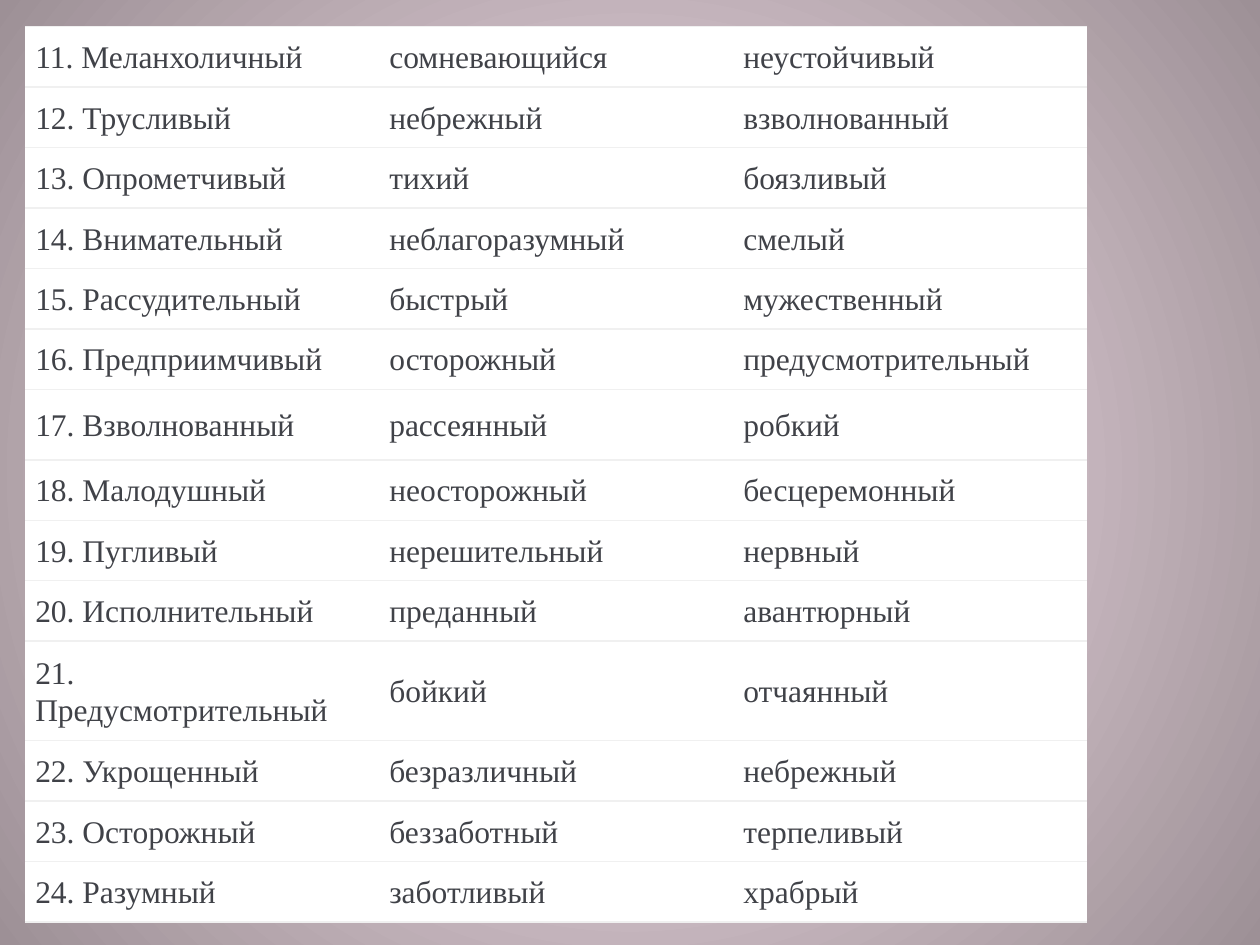
from lxml.etree import SubElement
from pptx import Presentation
from pptx.dml.color import RGBColor
from pptx.enum.text import MSO_ANCHOR
from pptx.oxml import parse_xml
from pptx.oxml.ns import nsdecls, qn
from pptx.util import Inches, Pt

FONT = "Times New Roman"
TEXT, PAPER, RULE = "404248", "FFFFFF", "F0F0F0"
CENTRE, EDGE = "FCE7F1", "9D9096"
ROW_HEIGHT = 0.48
TALL_ROWS = {6: 0.56, 10: 0.79}
FIRST_NUMBER = 11
TRAITS = [
    ("Меланхоличный", "сомневающийся", "неустойчивый"),
    ("Трусливый", "небрежный", "взволнованный"),
    ("Опрометчивый", "тихий", "боязливый"),
    ("Внимательный", "неблагоразумный", "смелый"),
    ("Рассудительный", "быстрый", "мужественный"),
    ("Предприимчивый", "осторожный", "предусмотрительный"),
    ("Взволнованный", "рассеянный", "робкий"),
    ("Малодушный", "неосторожный", "бесцеремонный"),
    ("Пугливый", "нерешительный", "нервный"),
    ("Исполнительный", "преданный", "авантюрный"),
    ("Предусмотрительный", "бойкий", "отчаянный"),
    ("Укрощенный", "безразличный", "небрежный"),
    ("Осторожный", "беззаботный", "терпеливый"),
    ("Разумный", "заботливый", "храбрый"),
]


def color(value):
    """Turn a hex string into a colour."""
    return RGBColor.from_string(value)


def paint_background(slide):
    """Fill the slide with a circular gradient spreading from its centre."""
    fill = slide.background.fill
    fill.gradient()
    for stop, value, position in zip(fill.gradient_stops, (CENTRE, EDGE), (0, 1)):
        stop.color.rgb = color(value)
        stop.position = position
    gradient = slide.element.find(".//" + qn("a:gradFill"))
    gradient.replace(gradient.find(qn("a:lin")), parse_xml(
        f'<a:path {nsdecls("a")} path="circle">'
        '<a:fillToRect l="50000" t="50000" r="50000" b="50000"/></a:path>'))


def rule_cell(cell):
    """Draw thin rules above and below a cell and none at its sides."""
    properties = cell._tc.get_or_add_tcPr()
    for side in ("L", "R", "T", "B"):
        line = SubElement(properties, qn(f"a:ln{side}"), w=str(Pt(1)))
        if side in "LR":
            SubElement(line, qn("a:noFill"))
        else:
            solid = SubElement(line, qn("a:solidFill"))
            SubElement(solid, qn("a:srgbClr"), val=RULE)


def write_cell(cell, text):
    """Format one cell and write its word."""
    rule_cell(cell)
    cell.fill.solid()
    cell.fill.fore_color.rgb = color(PAPER)
    cell.vertical_anchor = MSO_ANCHOR.MIDDLE
    cell.margin_left = cell.margin_right = Inches(0.08)
    cell.margin_top = cell.margin_bottom = Inches(0.08)
    paragraph = cell.text_frame.paragraphs[0]
    paragraph.line_spacing = 1.07
    paragraph.space_after = Pt(15)
    run = paragraph.add_run()
    run.text = text
    run.font.name = FONT
    run.font.size = Pt(18)
    run.font.color.rgb = color(TEXT)


def add_trait_table(slide, left, top, width):
    """Place the numbered table of character traits."""
    heights = [Inches(TALL_ROWS.get(index, ROW_HEIGHT)) for index in range(len(TRAITS))]
    table = slide.shapes.add_table(
        len(TRAITS), len(TRAITS[0]), left, top, width, sum(heights)).table
    table.first_row = table.horz_banding = False
    for index, (first, *others) in enumerate(TRAITS):
        table.rows[index].height = heights[index]
        words = [f"{FIRST_NUMBER + index}. {first}", *others]
        for cell, word in zip(table.rows[index].cells, words):
            write_cell(cell, word)


def main():
    """Build and save the slide."""
    presentation = Presentation()
    presentation.slide_width, presentation.slide_height = Inches(10), Inches(7.5)
    slide = presentation.slides.add_slide(presentation.slide_layouts[6])
    paint_background(slide)
    add_trait_table(slide, Inches(0.2), Inches(0.21), Inches(8.43))
    presentation.save("out.pptx")


if __name__ == "__main__":
    main()
